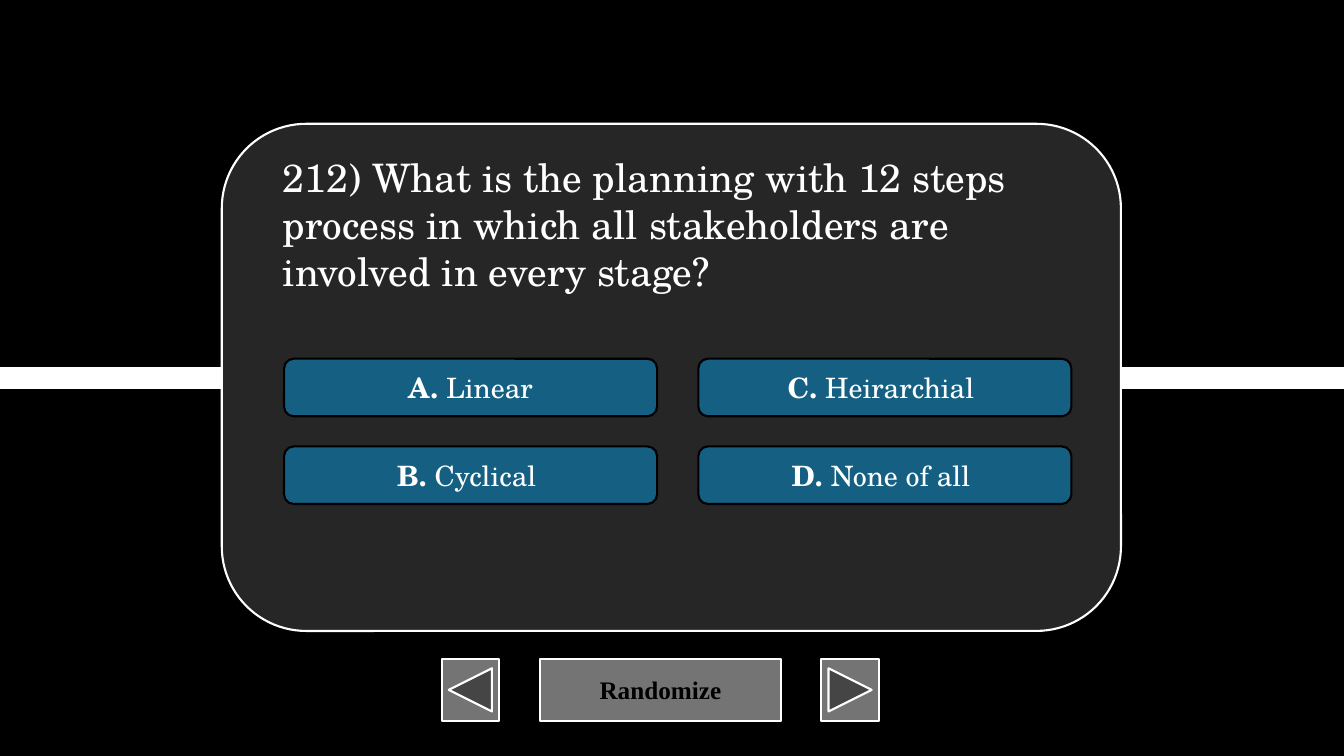
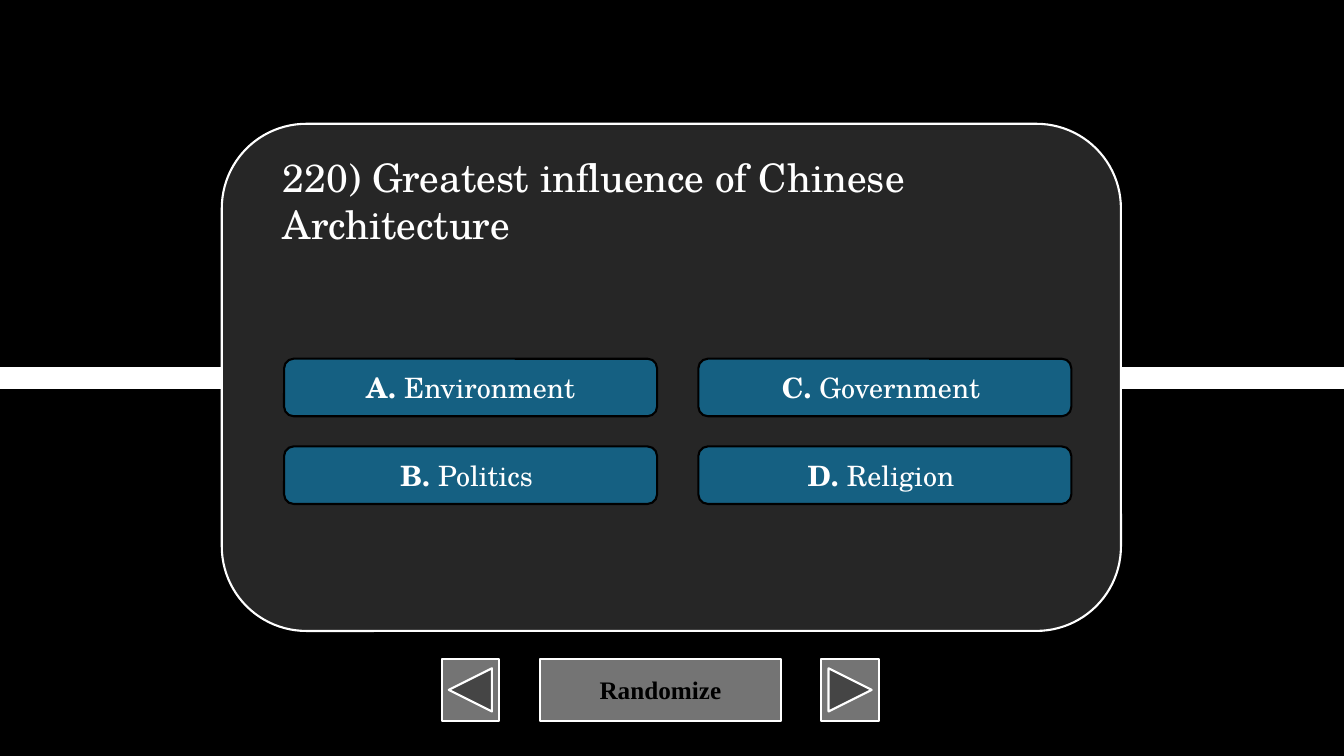
from dataclasses import dataclass

from lxml import etree
from pptx import Presentation
from pptx.dml.color import RGBColor
from pptx.enum.shapes import MSO_CONNECTOR, MSO_SHAPE
from pptx.enum.text import MSO_ANCHOR, MSO_AUTO_SIZE, PP_ALIGN
from pptx.oxml.ns import qn
from pptx.util import Cm, Pt


@dataclass(frozen=True)
class Theme:
    backdrop: RGBColor = RGBColor(0x00, 0x00, 0x00)
    light: RGBColor = RGBColor(0xFF, 0xFF, 0xFF)
    dark: RGBColor = RGBColor(0x00, 0x00, 0x00)
    card: RGBColor = RGBColor(0x26, 0x26, 0x26)
    answer: RGBColor = RGBColor(0x15, 0x60, 0x82)
    control: RGBColor = RGBColor(0x74, 0x74, 0x74)
    quiz_font: str = "TeX Gyre Schola"
    control_font: str = "Times New Roman"
    question_size: int = 28
    answer_size: int = 20
    control_size: int = 18
    outline: float = 1.5
    band: int = 16


WIDTH, HEIGHT = 33.87, 19.05
CONTROL_TOP, CONTROL_HEIGHT = 16.61, 1.55
ANSWER_LEFT, ANSWER_TOP = 7.16, 9.04
ANSWER_WIDTH, ANSWER_HEIGHT = 9.4, 1.45
COLUMN_STEP, ROW_STEP = 10.44, 2.21
LINE_HEIGHT, BOX_PADDING = 1.2, 0.25

QUESTIONS = [
    (
        "212) What is the planning with 12 steps process in which all "
        "stakeholders are involved in every stage?",
        3,
        ["Linear", "Cyclical ", "Heirarchial ", "None of all "],
    ),
    (
        "220) Greatest influence of Chinese Architecture",
        2,
        ["Environment", "Politics ", "Government ", "Religion "],
    ),
]


class QuizDeck:
    def __init__(self, theme):
        self.theme = theme
        self.deck = Presentation()
        self.deck.slide_width = Cm(WIDTH)
        self.deck.slide_height = Cm(HEIGHT)
        self.page = None

    def new_page(self):
        self.page = self.deck.slides.add_slide(self.deck.slide_layouts[6])
        background = self.page.background.fill
        background.solid()
        background.fore_color.rgb = self.theme.backdrop

    def shape(self, preset, left, top, width, height, fill, line):
        box = self.page.shapes.add_shape(
            preset, Cm(left), Cm(top), Cm(width), Cm(height)
        )
        box.shadow.inherit = False
        box.fill.solid()
        box.fill.fore_color.rgb = fill
        box.line.color.rgb = line
        box.line.width = Pt(self.theme.outline)
        return box

    def style(self, span, font, size, color, bold=False):
        span.font.name = font
        span.font.size = Pt(size)
        span.font.color.rgb = color
        span.font.bold = bold

    def centered(self, box):
        box.text_frame.vertical_anchor = MSO_ANCHOR.MIDDLE
        para = box.text_frame.paragraphs[0]
        para.alignment = PP_ALIGN.CENTER
        return para

    def band(self):
        middle = Cm(HEIGHT / 2)
        line = self.page.shapes.add_connector(
            MSO_CONNECTOR.STRAIGHT, 0, middle, Cm(WIDTH), middle
        )
        line.line.color.rgb = self.theme.light
        line.line.width = Pt(self.theme.band)
        etree.SubElement(line._element.spPr, qn("a:effectLst"))

    def control(self, preset, left, width, label=""):
        box = self.shape(
            preset, left, CONTROL_TOP, width, CONTROL_HEIGHT,
            self.theme.control, self.theme.light,
        )
        if label:
            para = self.centered(box)
            para.text = label
            self.style(
                para.runs[0], self.theme.control_font,
                self.theme.control_size, self.theme.dark, bold=True,
            )

    def controls(self):
        self.control(MSO_SHAPE.ACTION_BUTTON_CUSTOM, 13.61, 6.07, "Randomize")
        self.control(MSO_SHAPE.ACTION_BUTTON_BACK_OR_PREVIOUS, 11.13, 1.45)
        self.control(MSO_SHAPE.ACTION_BUTTON_FORWARD_OR_NEXT, 20.7, 1.45)

    def card(self):
        self.shape(
            MSO_SHAPE.ROUNDED_RECTANGLE, 5.59, 3.12, 22.66, 12.78,
            self.theme.card, self.theme.light,
        )

    def answer(self, index, text):
        column, row = divmod(index, 2)
        box = self.shape(
            MSO_SHAPE.ROUNDED_RECTANGLE,
            ANSWER_LEFT + column * COLUMN_STEP,
            ANSWER_TOP + row * ROW_STEP,
            ANSWER_WIDTH, ANSWER_HEIGHT,
            self.theme.answer, self.theme.dark,
        )
        para = self.centered(box)
        for content, bold in ((f"{'ABCD'[index]}. ", True), (text, False)):
            span = para.add_run()
            span.text = content
            self.style(
                span, self.theme.quiz_font, self.theme.answer_size,
                self.theme.light, bold,
            )

    def question(self, text, lines):
        box = self.page.shapes.add_textbox(
            Cm(6.88), Cm(3.73), Cm(20.12),
            Cm(lines * LINE_HEIGHT + BOX_PADDING),
        )
        frame = box.text_frame
        frame.word_wrap = True
        frame.auto_size = MSO_AUTO_SIZE.SHAPE_TO_FIT_TEXT
        frame.text = text
        self.style(
            frame.paragraphs[0].runs[0], self.theme.quiz_font,
            self.theme.question_size, self.theme.light,
        )

    def quiz_page(self, question, lines, answers):
        self.new_page()
        self.band()
        self.controls()
        self.card()
        for index, text in enumerate(answers):
            self.answer(index, text)
        self.question(question, lines)


def main():
    quiz = QuizDeck(Theme())
    for question, lines, answers in QUESTIONS:
        quiz.quiz_page(question, lines, answers)
    quiz.deck.save("out.pptx")


if __name__ == "__main__":
    main()
